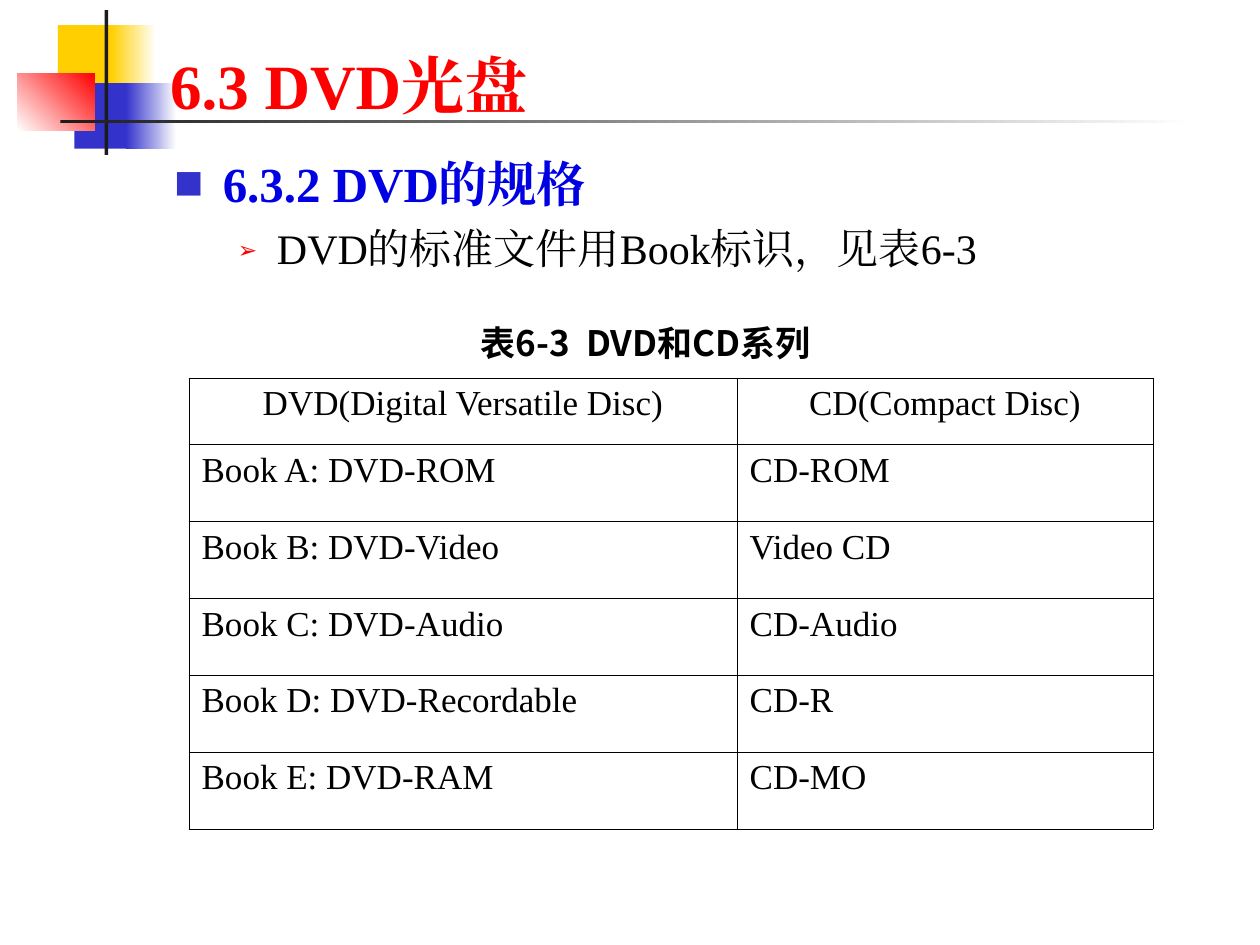
from dataclasses import dataclass

from lxml import etree
from pptx import Presentation
from pptx.dml.color import RGBColor
from pptx.enum.text import MSO_ANCHOR, MSO_AUTO_SIZE, PP_ALIGN
from pptx.enum.shapes import MSO_SHAPE
from pptx.oxml.ns import qn
from pptx.util import Inches, Pt

RECTANGLE = MSO_SHAPE.RECTANGLE
LEFT, CENTER = PP_ALIGN.LEFT, PP_ALIGN.CENTER
TOP, MIDDLE, BOTTOM = MSO_ANCHOR.TOP, MSO_ANCHOR.MIDDLE, MSO_ANCHOR.BOTTOM
NO_AUTOFIT = MSO_AUTO_SIZE.NONE
TITLE_ONLY = 5


@dataclass(frozen=True)
class Theme:
    serif: str = "Times New Roman"
    sans: str = "Noto Sans CJK SC"
    red: str = "FF0000"
    yellow: str = "FFCF01"
    blue: str = "3333CC"
    heading_blue: str = "0000E2"
    charcoal: str = "1C1C1C"
    black: str = "000000"
    white: str = "FFFFFF"
    title_size: int = 36
    heading_size: int = 28
    detail_size: int = 24
    table_size: int = 20
    border_width: float = 0.45


THEME = Theme()

TABLE_ROWS = [
    ("DVD(Digital Versatile Disc)", "CD(Compact Disc)"),
    ("Book A: DVD-ROM", "CD-ROM"),
    ("Book B: DVD-Video", "Video CD"),
    ("Book C: DVD-Audio", "CD-Audio"),
    ("Book D: DVD-Recordable", "CD-R"),
    ("Book E: DVD-RAM", "CD-MO"),
]


def style_text(para, size, color, font=THEME.serif, bold=False, align=LEFT):
    para.alignment = align
    for span in para.runs:
        span.font.size = Pt(size)
        span.font.bold = bold
        span.font.name = font
        span.font.color.rgb = RGBColor.from_string(color)
        # East Asian characters take the same typeface
        east_asian = etree.Element(qn("a:ea"), typeface=font)
        span.font._element.find(qn("a:latin")).addnext(east_asian)


def set_bullet(para, symbol, color, percent, margin, hanging):
    properties = para._p.get_or_add_pPr()
    properties.set("marL", str(Inches(margin)))
    properties.set("indent", str(-Inches(hanging)))
    bullet_color = etree.SubElement(properties, qn("a:buClr"))
    etree.SubElement(bullet_color, qn("a:srgbClr"), val=color)
    etree.SubElement(properties, qn("a:buSzPct"), val=str(percent * 1000))
    etree.SubElement(properties, qn("a:buFont"), typeface=THEME.sans)
    etree.SubElement(properties, qn("a:buChar"), char=symbol)


def add_block(page, left, top, width, height, start, end=None, angle=0):
    """Add a borderless rectangle, solid or fading from start to end."""
    block = page.shapes.add_shape(
        RECTANGLE, Inches(left), Inches(top), Inches(width), Inches(height))
    block.shadow.inherit = False
    block.line.fill.background()
    if end is None:
        block.fill.solid()
        block.fill.fore_color.rgb = RGBColor.from_string(start)
        return
    block.fill.gradient()
    block.fill.gradient_angle = angle
    for stop, color, position in zip(block.fill.gradient_stops, (start, end), (0, 1)):
        stop.color.rgb = RGBColor.from_string(color)
        stop.position = position


def add_decoration(page):
    add_block(page, 0.46, 0.2, 0.48, 0.52, THEME.yellow)
    add_block(page, 0.88, 0.2, 0.36, 0.52, THEME.yellow, THEME.white)
    add_block(page, 0.59, 0.66, 0.46, 0.52, THEME.blue)
    add_block(page, 1, 0.66, 0.4, 0.52, THEME.blue, THEME.white)
    add_block(page, 0.14, 0.58, 0.61, 0.46, THEME.white, THEME.red, angle=45)
    add_block(page, 0.83, 0.08, 0.03, 1.15, THEME.charcoal)
    add_block(page, 0.48, 0.95, 9, 0.03, THEME.charcoal, THEME.white)


def set_title(page, text):
    title = page.shapes.title
    title.left, title.top = Inches(1.25), Inches(0.17)
    title.width, title.height = Inches(8.52), Inches(0.85)
    frame = title.text_frame
    frame.text = text
    frame.auto_size = NO_AUTOFIT
    frame.vertical_anchor = BOTTOM
    style_text(frame.paragraphs[0], THEME.title_size, THEME.red, bold=True)
    # Bring the title in front of the decoration
    title.element.getparent().append(title.element)


def add_text_box(page, left, top, width, height, anchor=TOP, wrap=True):
    box = page.shapes.add_textbox(
        Inches(left), Inches(top), Inches(width), Inches(height))
    box.text_frame.word_wrap = wrap
    box.text_frame.vertical_anchor = anchor
    return box.text_frame


def add_outline(page):
    frame = add_text_box(page, 1.29, 1.17, 8.5, 1.08)
    heading = frame.paragraphs[0]
    heading.text = "6.3.2 DVD的规格"
    set_bullet(heading, "■", THEME.blue, 60, 0.38, 0.38)
    style_text(heading, THEME.heading_size, THEME.heading_blue, bold=True)

    detail = frame.add_paragraph()
    detail.text = "DVD的标准文件用Book标识，见表6-3"
    detail.level = 1
    detail.space_before = Pt(6)
    set_bullet(detail, "➢", THEME.red, 55, 0.81, 0.31)
    style_text(detail, THEME.detail_size, THEME.black)


def add_caption(page):
    frame = add_text_box(page, 3.5, 2.5, 3.25, 0.44, MIDDLE, wrap=False)
    frame.text = "表6-3  DVD和CD系列"
    style_text(frame.paragraphs[0], THEME.table_size, THEME.black,
               THEME.sans, bold=True, align=CENTER)


def set_borders(cell):
    properties = cell._tc.get_or_add_tcPr()
    for side in ("lnL", "lnR", "lnT", "lnB"):
        line = etree.SubElement(properties, qn(f"a:{side}"),
                                w=str(Pt(THEME.border_width)))
        fill = etree.SubElement(line, qn("a:solidFill"))
        etree.SubElement(fill, qn("a:srgbClr"), val=THEME.black)


def add_disc_table(page):
    table = page.shapes.add_table(
        len(TABLE_ROWS), 2, Inches(1.5), Inches(3), Inches(7.65), Inches(3.58)).table
    table.first_row = table.horz_banding = False
    for column, width in zip(table.columns, (4.35, 3.3)):
        column.width = Inches(width)
    for index, texts in enumerate(TABLE_ROWS):
        is_header = index == 0
        table.rows[index].height = Inches(0.53 if is_header else 0.61)
        for cell, text in zip(table.rows[index].cells, texts):
            cell.text = text
            style_text(cell.text_frame.paragraphs[0], THEME.table_size,
                       THEME.black, align=CENTER if is_header else LEFT)
            set_borders(cell)
            cell.fill.background()


def main():
    deck = Presentation()
    deck.slide_width, deck.slide_height = Inches(10), Inches(7.5)
    page = deck.slides.add_slide(deck.slide_layouts[TITLE_ONLY])

    # Corner blocks and heading
    add_decoration(page)
    set_title(page, "6.3 DVD光盘")

    # Outline text, then the captioned table
    add_outline(page)
    add_caption(page)
    add_disc_table(page)

    deck.save("out.pptx")


if __name__ == "__main__":
    main()
